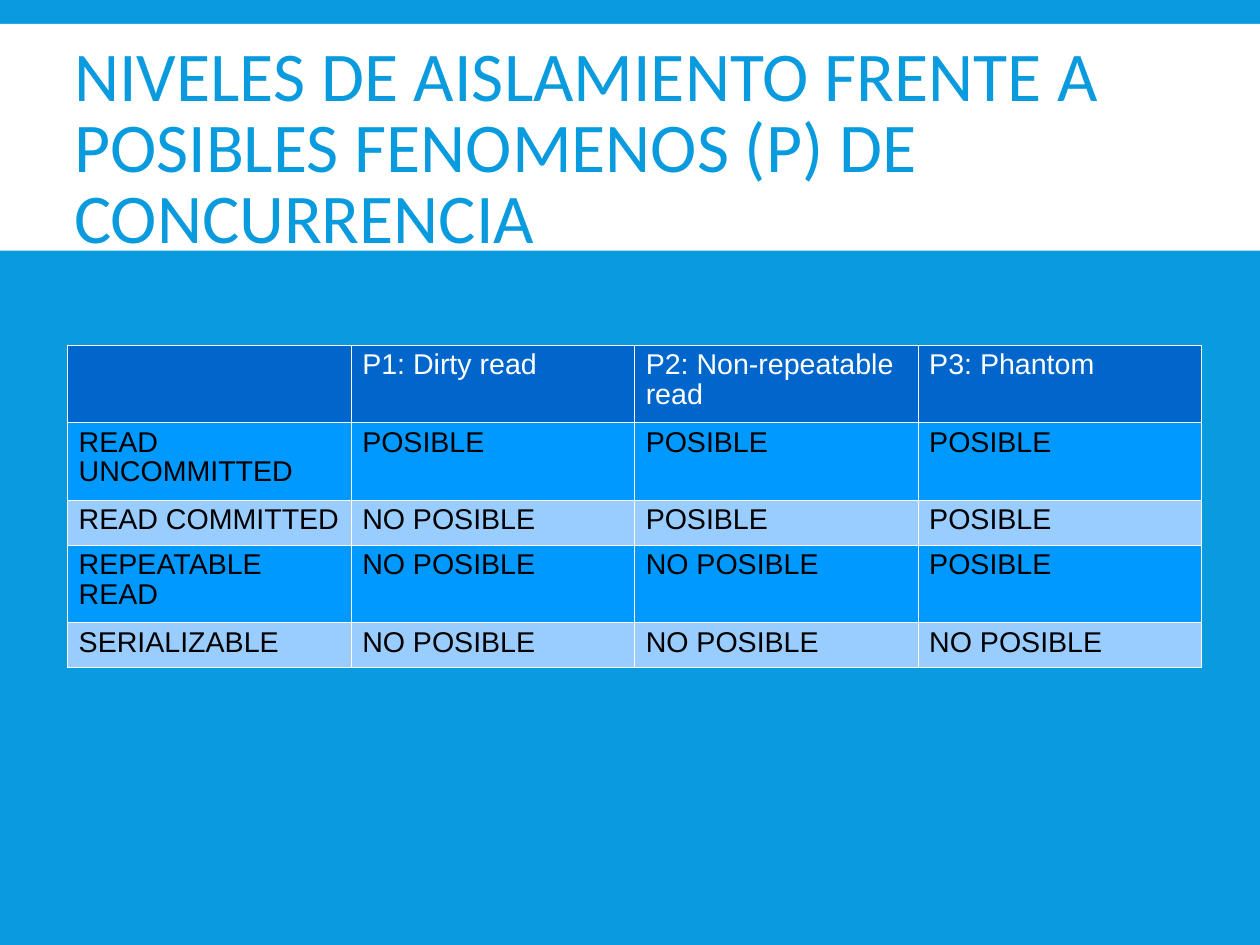
from pptx import Presentation
from pptx.dml.color import RGBColor as Rgb
from pptx.enum.shapes import MSO_SHAPE as Kind
from pptx.enum.text import MSO_ANCHOR as Anchor, PP_ALIGN as Align
from pptx.oxml.ns import qn
from pptx.util import Cm, Pt
from lxml.etree import SubElement as Sub

# Content
TITLE = "NIVELES DE AISLAMIENTO FRENTE A POSIBLES FENOMENOS (P) DE CONCURRENCIA"
YES, NO = "POSIBLE", "NO POSIBLE"
ROWS = [
    ("", "P1: Dirty read", "P2: Non-repeatable read", "P3: Phantom"),
    ("READ UNCOMMITTED", YES, YES, YES),
    ("READ COMMITTED", NO, YES, YES),
    ("REPEATABLE READ", NO, NO, YES),
    ("SERIALIZABLE", NO, NO, NO),
]
HIGH = [1.72, 1.72, 1, 1.72, 1]

# Format
HUES = {"back": "099BDD", "white": "FFFFFF", "black": "000000",
        "head": "0066CC", "odd": "0099FF", "even": "99CCFF"}
HEAD = {"name": "Calibri", "size": Pt(44)}
BODY = {"name": "Arial", "size": Pt(18)}
PADS = {"margin_left": Cm(0.25), "margin_right": Cm(0.25),
        "margin_top": Cm(0.13), "margin_bottom": Cm(0.13)}
WIDE, TALL = 28, 21
COL = 6.3


def hue(key):
    return Rgb.from_string(HUES[key])


def paint(fill, key):
    fill.solid()
    fill.fore_color.rgb = hue(key)


def apply(item, fmt):
    for key, val in fmt.items():
        setattr(item, key, val)


def write(frame, text, fmt, key, gap):
    para = frame.paragraphs[0]
    para.text = text
    para.alignment = Align.LEFT
    para.line_spacing = gap
    apply(para.font, fmt)
    para.font.color.rgb = hue(key)


def edge(cell):
    props = cell._tc.get_or_add_tcPr()
    for spot, side in enumerate("LRTB"):
        line = props.makeelement(qn(f"a:ln{side}"), {"w": str(Pt(0.06))})
        fill = Sub(line, qn("a:solidFill"))
        Sub(fill, qn("a:srgbClr"), val=HUES["white"])
        props.insert(spot, line)


deck = Presentation()
deck.slide_width, deck.slide_height = Cm(WIDE), Cm(TALL)
slide = deck.slides.add_slide(deck.slide_layouts[6])
paint(slide.background.fill, "back")

# Title band
band = slide.shapes.add_shape(Kind.RECTANGLE, 0, Cm(0.53), Cm(WIDE), Cm(5.04))
band.shadow.inherit = False
paint(band.fill, "white")
band.line.fill.background()

# Title
frame = slide.shapes.add_textbox(Cm(1.4), 0, Cm(25.2), Cm(6.73)).text_frame
apply(frame, PADS | {"word_wrap": True, "vertical_anchor": Anchor.MIDDLE})
write(frame, TITLE, HEAD, "back", 0.85)

# Table of isolation levels
count = len(ROWS[0])
table = slide.shapes.add_table(len(ROWS), count, Cm(1.5), Cm(7.67),
                               Cm(COL * count), Cm(sum(HIGH))).table
for col in table.columns:
    col.width = Cm(COL)
for r, words in enumerate(ROWS):
    table.rows[r].height = Cm(HIGH[r])
    tone = "head" if r == 0 else "odd" if r % 2 else "even"
    ink = "black" if r else "white"
    for c, word in enumerate(words):
        cell = table.cell(r, c)
        apply(cell, PADS)
        paint(cell.fill, tone)
        edge(cell)
        write(cell.text_frame, word, BODY | {"bold": False}, ink, 0.93)

deck.save("out.pptx")
